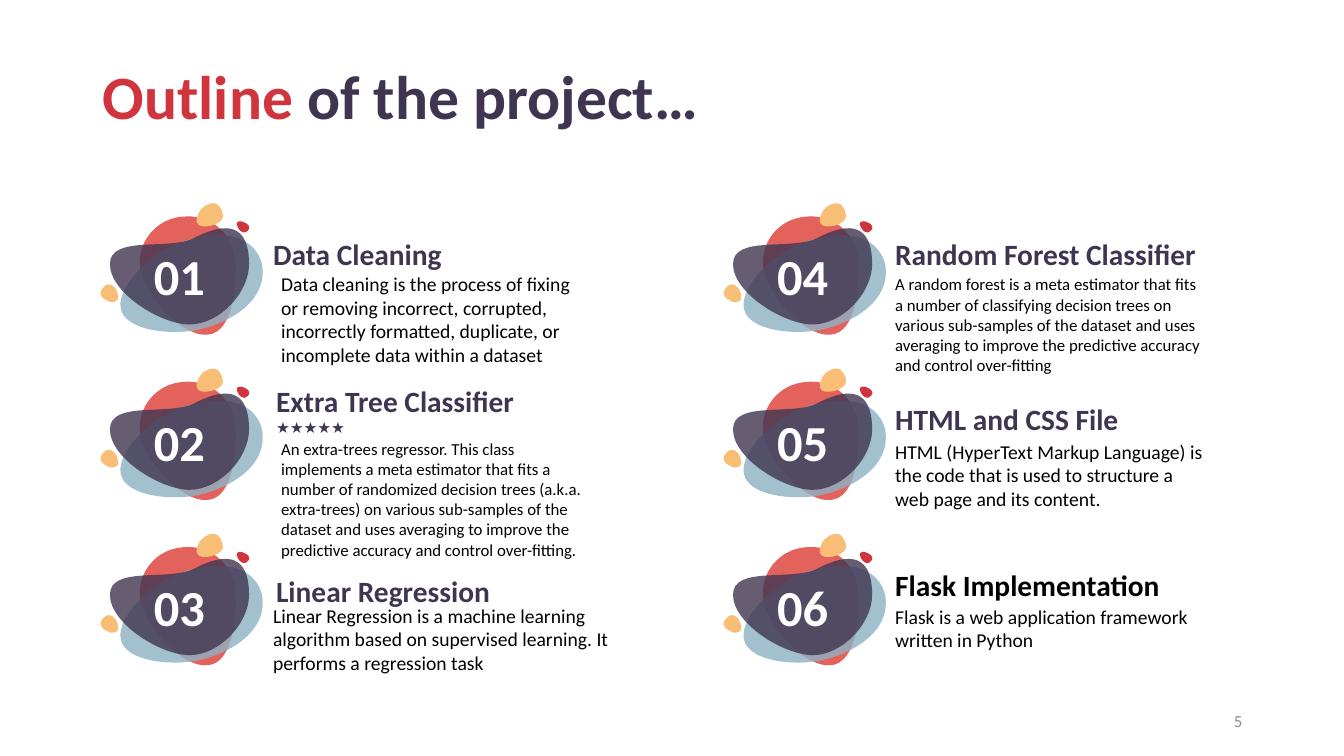
import lxml.etree
import pptx
import pptx.dml.color
import pptx.enum.text
import pptx.oxml.ns
import pptx.util

Inches = pptx.util.Inches
qn = pptx.oxml.ns.qn
ANCHOR = pptx.enum.text.MSO_ANCHOR
ALIGN = pptx.enum.text.PP_ALIGN

FONT = "Calibri"
PLUM, RED, CORAL = "403551", "D0343C", "E4625C"
BLUE, AMBER, GREY = "8DB1C4", "F9BE75", "838C97"
WHITE, BLACK = "FFFFFF", "000000"

COLUMN_LEFTS = (1, 7.18)
COLUMN_INSETS = (0.1, 0)
FIRST_ROW_TOP, ROW_PITCH, ROWS = 2, 1.64, 3

# Badge blobs, back to front: colour, opacity in percent, start point,
# Bezier segments (two controls and an end), in inches from the badge corner
BLOBS = [
    (CORAL, 100, (0.39, 0.65), [
        (0.41, 0.9, 0.8, 1.35, 1.06, 1.32), (1.32, 1.3, 1.35, 0.81, 1.33, 0.56),
        (1.3, 0.3, 1.07, 0.12, 0.81, 0.15), (0.55, 0.17, 0.36, 0.4, 0.39, 0.65)]),
    (BLUE, 80, (0.21, 1.1), [
        (0.29, 1.27, 0.64, 1.32, 0.92, 1.28), (1.21, 1.23, 1.66, 1.02, 1.6, 0.63),
        (1.57, 0.48, 1.41, 0.22, 0.83, 0.39), (0.5, 0.49, 0.11, 0.88, 0.21, 1.1)]),
    (PLUM, 80, (0.09, 0.62), [
        (0.09, 0.91, 0.6, 1.22, 0.88, 1.22), (1.17, 1.22, 1.47, 0.91, 1.47, 0.62),
        (1.47, 0.33, 1.35, 0.14, 0.93, 0.36), (0.68, 0.49, 0.09, 0.33, 0.09, 0.62)]),
    (AMBER, 100, (0.97, 0.23), [
        (1, 0.26, 1.13, 0.25, 1.19, 0.19), (1.24, 0.14, 1.19, 0.06, 1.16, 0.03),
        (1.12, 0, 1.05, 0.02, 1, 0.07), (0.95, 0.13, 0.93, 0.2, 0.97, 0.23)]),
    (AMBER, 100, (0.17, 0.97), [
        (0.18, 0.94, 0.16, 0.85, 0.11, 0.83), (0.06, 0.8, 0.02, 0.85, 0, 0.89),
        (-0.01, 0.92, 0.01, 0.96, 0.06, 0.98), (0.1, 1.01, 0.15, 1, 0.17, 0.97)]),
    (RED, 100, (1.35, 0.21), [
        (1.34, 0.23, 1.37, 0.29, 1.4, 0.3), (1.43, 0.32, 1.46, 0.29, 1.47, 0.27),
        (1.48, 0.25, 1.46, 0.22, 1.43, 0.21), (1.4, 0.19, 1.36, 0.19, 1.35, 0.21)]),
]

# Heading, its colour, heading box, stars, description, its size, description box;
# boxes are measured from the badge corner
TOPICS = [
    ("Data Cleaning", PLUM, (1.61, 0.13, 3.26, 0.56), "",
     "Data cleaning is the process of fixing or removing incorrect, corrupted, "
     "incorrectly formatted, duplicate, or incomplete data within a dataset",
     14, (1.69, 0.6, 3.1, 1.14)),
    ("Extra Tree Classifier ", PLUM, (1.64, -0.05, 4.51, 0.74), "★★★★★",
     "An extra-trees regressor. This class implements a meta estimator that fits a "
     "number of randomized decision trees (a.k.a. extra-trees) on various sub-samples "
     "of the dataset and uses averaging to improve the predictive accuracy and control "
     "over-fitting.",
     12, (1.69, 0.61, 3.26, 1.41)),
    ("Linear Regression", PLUM, (1.64, 0.2, 4.13, 0.56), "",
     "Linear Regression is a machine learning algorithm based on supervised learning. "
     "It performs a regression task",
     14, (1.61, 0.61, 3.56, 0.91)),
    ("Random Forest Classifier", PLUM, (1.6, 0.13, 3.26, 0.56), "",
     "A random forest is a meta estimator that fits a number of classifying decision "
     "trees on various sub-samples of the dataset and uses averaging to improve the "
     "predictive accuracy and control over-fitting",
     12, (1.6, 0.72, 3.26, 1.01)),
    ("HTML and CSS File", PLUM, (1.6, 0.13, 3.26, 0.56), "",
     "HTML (HyperText Markup Language) is the code that is used to structure a web "
     "page and its content.",
     14, (1.6, 0.72, 3.26, 0.71)),
    ("Flask Implementation", BLACK, (1.6, 0.14, 3.26, 0.56), "",
     "Flask is a web application framework written in Python",
     14, (1.6, 0.72, 3.26, 0.47)),
]


def color(hex_code):
    return pptx.dml.color.RGBColor.from_string(hex_code)


def add_run(paragraph, text, size, hex_code, bold=False):
    run = paragraph.add_run()
    run.text = text
    run.font.name = FONT
    run.font.size = pptx.util.Pt(size)
    run.font.bold = bold
    run.font.color.rgb = color(hex_code)


def format_frame(frame, anchor, side, top, bottom):
    frame.word_wrap = True
    frame.auto_size = pptx.enum.text.MSO_AUTO_SIZE.NONE
    frame.vertical_anchor = anchor
    frame.margin_left = frame.margin_right = Inches(side)
    frame.margin_top, frame.margin_bottom = Inches(top), Inches(bottom)
    return frame.paragraphs[0]


def add_text_box(slide, box, anchor, top=0.05, bottom=0.05):
    frame = slide.shapes.add_textbox(*map(Inches, box)).text_frame
    return format_frame(frame, anchor, 0.1, top, bottom)


def bend_sides(blob, left, top, segments):
    """Turn each straight side of the blob into a cubic Bezier curve."""
    sides = list(blob.element.iter(qn("a:lnTo")))
    for side, (x1, y1, x2, y2, _, _) in zip(sides, segments):
        side.tag = qn("a:cubicBezTo")
        for position, (x, y) in enumerate([(x1, y1), (x2, y2)]):
            control = lxml.etree.Element(qn("a:pt"))
            control.set("x", str(Inches(left + x) - blob.left))
            control.set("y", str(Inches(top + y) - blob.top))
            side.insert(position, control)


def add_blob(badge, left, top, hex_code, opacity, start, segments):
    corners = [(Inches(left + x), Inches(top + y))
               for x, y in [start, *(segment[4:] for segment in segments)]]
    builder = badge.shapes.build_freeform(*corners[0])
    builder.add_line_segments(corners[1:], close=True)
    blob = builder.convert_to_shape()
    bend_sides(blob, left, top, segments)
    blob.shadow.inherit = False
    blob.line.fill.background()
    blob.fill.solid()
    blob.fill.fore_color.rgb = color(hex_code)
    if opacity < 100:
        tint = blob.element.spPr.find(qn("a:solidFill")).find(qn("a:srgbClr"))
        alpha = lxml.etree.SubElement(tint, qn("a:alpha"))
        alpha.set("val", str(opacity * 1000))
    return blob


def add_badge(slide, left, top, number):
    badge = slide.shapes.add_group_shape()
    for hex_code, opacity, start, segments in BLOBS:
        blob = add_blob(badge, left, top, hex_code, opacity, start, segments)
        if hex_code == PLUM:
            label = format_frame(blob.text_frame, ANCHOR.MIDDLE, 0.04, 0.04, 0.15)
            label.alignment = ALIGN.CENTER
            add_run(label, f"{number:02d}", 36, WHITE, bold=True)


def add_topic(slide, left, top, inset, topic):
    name, name_color, name_box, stars, description, size, description_box = topic

    def place(box):
        return (left + box[0], top + box[1], *box[2:])

    heading = add_text_box(slide, place(name_box), ANCHOR.BOTTOM, 0.2, 0)
    add_run(heading, name, 21, name_color, bold=True)
    if stars:
        heading.add_line_break()
        add_run(heading, stars, 11, name_color, bold=True)
    body = add_text_box(slide, place(description_box), ANCHOR.TOP, inset, inset)
    add_run(body, description, size, BLACK)


def add_title(slide, box):
    title = slide.shapes.title
    title.left, title.top, title.width, title.height = map(Inches, box)
    heading = format_frame(title.text_frame, ANCHOR.MIDDLE, 0.1, 0.05, 0.05)
    heading.alignment = ALIGN.LEFT
    heading.line_spacing = 0.9
    add_run(heading, "Outline", 44, RED, bold=True)
    add_run(heading, " of the project…", 44, PLUM, bold=True)


def add_page_number(slide, box):
    page = add_text_box(slide, box, ANCHOR.MIDDLE)
    page.alignment = ALIGN.RIGHT
    add_run(page, "5", 12, GREY)


def main():
    deck = pptx.Presentation()
    deck.slide_width, deck.slide_height = Inches(13.33), Inches(7.5)
    slide = deck.slides.add_slide(deck.slide_layouts.get_by_name("Title Only"))
    add_title(slide, (0.92, 0.37, 8.81, 1.24))
    # Topics run down the left column, then down the right one
    for index, topic in enumerate(TOPICS):
        column, row = divmod(index, ROWS)
        left, top = COLUMN_LEFTS[column], FIRST_ROW_TOP + row * ROW_PITCH
        add_badge(slide, left, top, index + 1)
        add_topic(slide, left, top, COLUMN_INSETS[column], topic)
    add_page_number(slide, (9.42, 6.95, 3, 0.4))
    deck.save("out.pptx")


if __name__ == "__main__":
    main()
